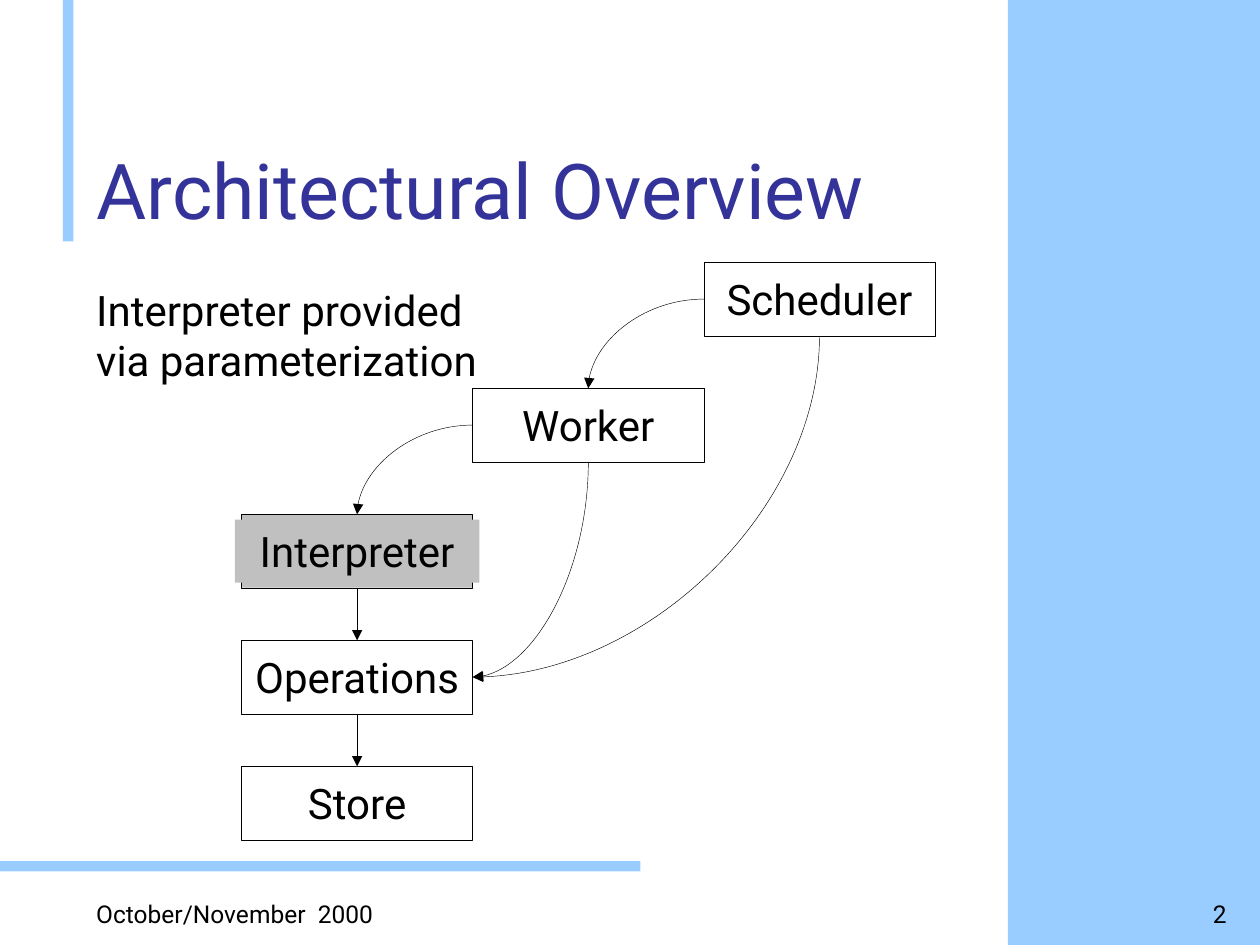
from lxml.etree import SubElement
from pptx import Presentation
from pptx.dml.color import RGBColor
from pptx.enum.shapes import MSO_CONNECTOR as Link, MSO_SHAPE as Shape
from pptx.enum.text import MSO_ANCHOR as Anchor, MSO_AUTO_SIZE as AutoSize, PP_ALIGN as Align
from pptx.oxml.ns import qn
from pptx.util import Cm, Pt

FONT = "Roboto"
BLACK, GREY, SKY, INDIGO = "000000", "C0C0C0", "99CCFF", "333399"

# Diagram grid, in cm
LEFT, TOP = 4.87, 5.29
COLUMN, ROW = 4.66, 2.54
BOX_W, BOX_H = 4.66, 1.48
LABEL_H = 1.27

# Component: column, row, label width, fill
COMPONENTS = {
    "Store": (0, 4, 2.62, None),
    "Operations": (0, 3, 4.95, None),
    "Interpreter": (0, 2, 4.93, GREY),
    "Worker": (1, 1, 3.43, None),
    "Scheduler": (2, 0, 4.47, None),
}


def color(value):
    return RGBColor.from_string(value)


def add_rect(shapes, x, y, w, h, fill=None, line=None):
    rect = shapes.add_shape(Shape.RECTANGLE, Cm(x), Cm(y), Cm(w), Cm(h))
    rect.shadow.inherit = False
    if fill:
        rect.fill.solid()
        rect.fill.fore_color.rgb = color(fill)
    else:
        rect.fill.background()
    if line:
        rect.line.color.rgb = color(line)
        rect.line.width = Pt(0.25)
    else:
        rect.line.fill.background()
    return rect


def write(frame, lines, size, ink=BLACK, align=Align.LEFT, anchor=Anchor.TOP):
    frame.vertical_anchor = anchor
    paragraph = frame.paragraphs[0]
    paragraph.alignment = align
    for index, line in enumerate(lines):
        if index:
            paragraph.add_line_break()
        run = paragraph.add_run()
        run.text = line
        run.font.name = FONT
        run.font.size = Pt(size)
        run.font.color.rgb = color(ink)
    return paragraph


def add_text(slide, x, y, w, h, lines, size, **style):
    frame = slide.shapes.add_textbox(Cm(x), Cm(y), Cm(w), Cm(h)).text_frame
    frame.word_wrap = True
    return write(frame, lines, size, **style)


def add_title(slide, text):
    title = slide.shapes.title
    title.left, title.top, title.width, title.height = Cm(1.69), Cm(1.69), Cm(18.63), Cm(3.18)
    title.text_frame.auto_size = AutoSize.NONE
    write(title.text_frame, [text], 44, INDIGO, anchor=Anchor.BOTTOM)


def add_component(slide, name):
    """Frame with its label centred on it, grouped."""
    column, row, label_w, fill = COMPONENTS[name]
    x, y = LEFT + column * COLUMN, TOP + row * ROW
    group = slide.shapes.add_group_shape().shapes
    add_rect(group, x, y, BOX_W, BOX_H, fill, BLACK)
    label = add_rect(group, x + (BOX_W - label_w) / 2, y + (BOX_H - LABEL_H) / 2,
                     label_w, LABEL_H, fill)
    label.text_frame.word_wrap = False
    label.text_frame.auto_size = AutoSize.SHAPE_TO_FIT_TEXT
    write(label.text_frame, [name], 24, align=Align.CENTER)


def port(name, side):
    """Midpoint of one side of a component's frame."""
    column, row = COMPONENTS[name][:2]
    across, down = {"left": (0, 0.5), "right": (1, 0.5),
                    "top": (0.5, 0), "bottom": (0.5, 1)}[side]
    return LEFT + column * COLUMN + across * BOX_W, TOP + row * ROW + down * BOX_H


def add_arrow(slide, kind, start, end):
    arrow = slide.shapes.add_connector(kind, *(Cm(v) for v in (*start, *end)))
    arrow.line.color.rgb = color(BLACK)
    arrow.line.width = Pt(0.25)
    SubElement(arrow.line._get_or_add_ln(), qn("a:tailEnd"), type="triangle")
    properties = arrow._element.spPr
    SubElement(properties, qn("a:effectLst"))
    if kind == Link.CURVE:
        properties.find(qn("a:prstGeom")).set("prst", "curvedConnector2")
    return properties


def add_falling_curve(slide, start, end):
    """Curve that leaves downwards and arrives leftwards: a quarter turn."""
    (x1, y1), (x2, y2) = start, end
    mid_x, mid_y = (x1 + x2) / 2, (y1 + y2) / 2
    half_w, half_h = (y2 - y1) / 2, (x1 - x2) / 2
    properties = add_arrow(slide, Link.CURVE, (mid_x - half_w, mid_y - half_h),
                           (mid_x + half_w, mid_y + half_h))
    properties.find(qn("a:xfrm")).set("rot", str(90 * 60000))


def main():
    deck = Presentation()
    deck.slide_width, deck.slide_height = Cm(25.4), Cm(19.05)
    slide = deck.slides.add_slide(deck.slide_layouts[5])

    # Side panel and accent bars, behind the title
    bars = [(20.32, 0, 5.08, 19.05), (1.27, 0, 0.21, 4.87), (0, 17.36, 12.91, 0.21)]
    for bar in bars:
        add_rect(slide.shapes, *bar, fill=SKY)
    tree = slide.shapes._spTree
    tree.append(slide.shapes.title._element)

    # Title and remark
    add_title(slide, "Architectural Overview")
    remark = add_text(slide, 1.69, 5.61, 23.28, 11.43,
                      ["Interpreter provided", "via parameterization"], 24)
    remark.space_before = Pt(6)

    # Components
    for name in COMPONENTS:
        add_component(slide, name)

    # Calls between components
    for upper, lower in (("Operations", "Store"), ("Interpreter", "Operations")):
        add_arrow(slide, Link.STRAIGHT, port(upper, "bottom"), port(lower, "top"))
    for caller, callee in (("Scheduler", "Worker"), ("Worker", "Interpreter")):
        add_arrow(slide, Link.CURVE, port(caller, "left"), port(callee, "top"))
    for caller in ("Worker", "Scheduler"):
        add_falling_curve(slide, port(caller, "bottom"), port("Operations", "right"))

    # Footer
    add_text(slide, 20.53, 17.57, 4.45, 1.27, ["2"], 14,
             align=Align.RIGHT, anchor=Anchor.BOTTOM)
    add_text(slide, 1.69, 17.57, 18.42, 1.27, ["October/November  2000"], 14,
             anchor=Anchor.BOTTOM)

    deck.save("out.pptx")


if __name__ == "__main__":
    main()
